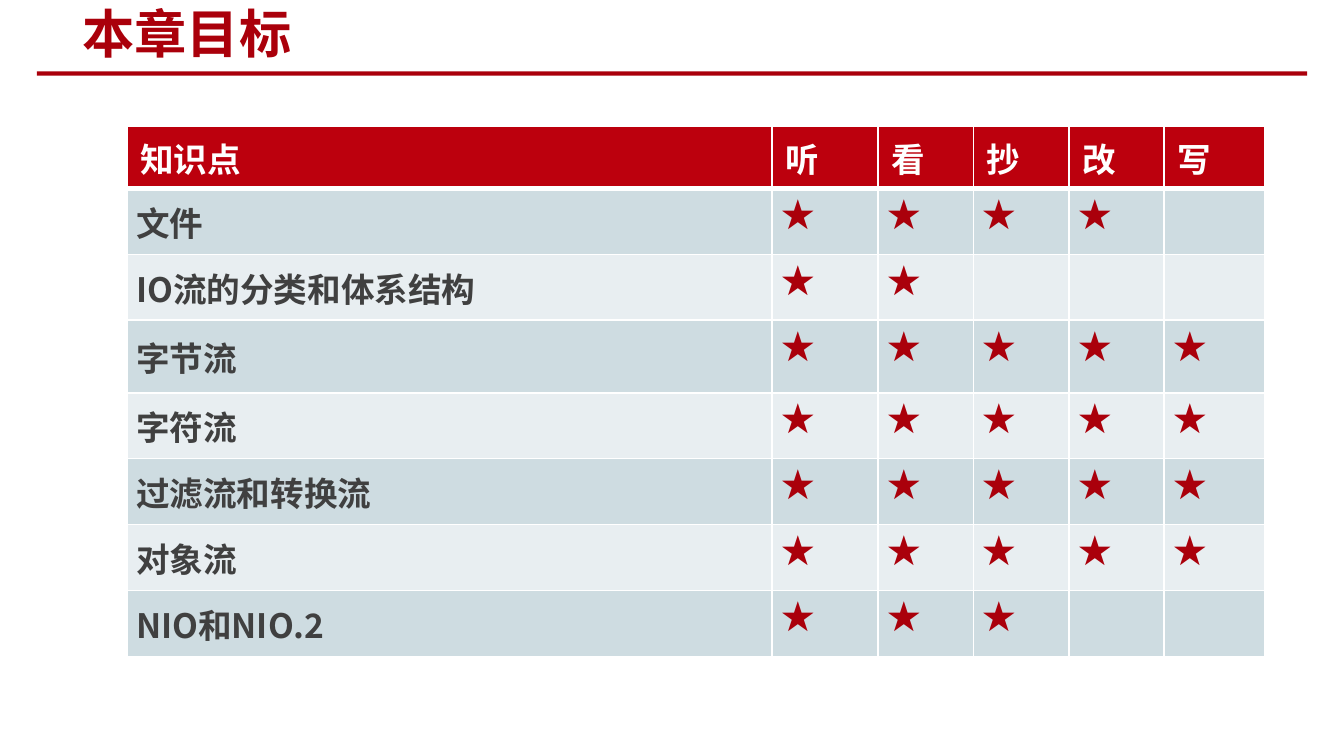
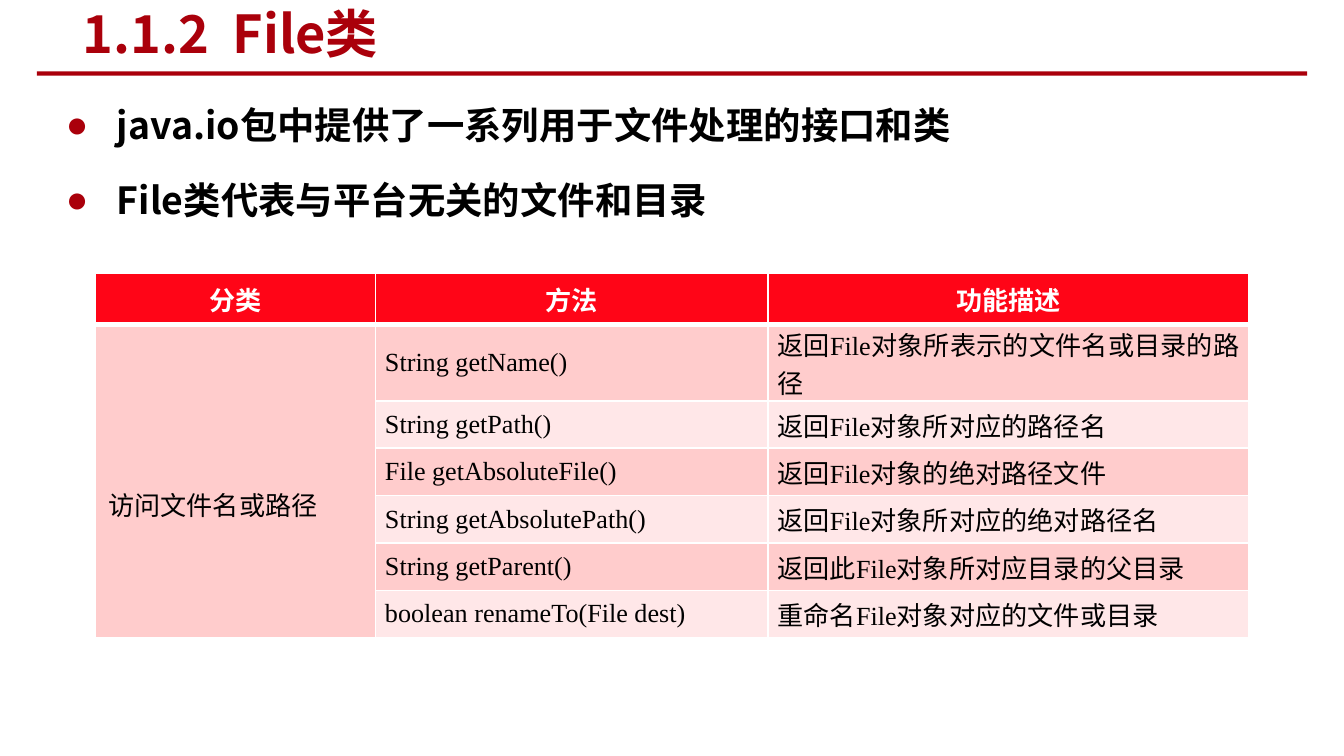
from lxml import etree
from pptx import Presentation
from pptx import util as u
from pptx.dml.color import RGBColor
from pptx.enum import shapes, text
from pptx.oxml.ns import qn

# Shared look, on a 16:9 slide
SLIDE_WIDTH = u.Inches(10)
SLIDE_HEIGHT = u.Emu(SLIDE_WIDTH * 9 // 16)
COLORS = {
    "brand": "AA000B", "white": "FFFFFF", "black": "000000", "gray": "404040",
    "goal_header": "BC000D", "goal_dark": "CEDCE1", "goal_light": "E8EEF1",
    "method_header": "FF0517", "method_dark": "FFCCCC", "method_light": "FFE7E8",
}
CJK_FONT = "Noto Sans CJK SC"
TITLE_ONLY, TITLE_AND_BODY = 5, 1
LEFT, CENTER, JUSTIFY = (text.PP_ALIGN.LEFT, text.PP_ALIGN.CENTER,
                         text.PP_ALIGN.JUSTIFY)
TOP, MIDDLE = text.MSO_ANCHOR.TOP, text.MSO_ANCHOR.MIDDLE
WIDE_INSETS, TIGHT_INSETS = (0.1, 0.05), (0.07, 0)

# Content
GOAL_HEADER = ["知识点", "听", "看", "抄", "改", "写"]
GOALS = [("文件", 4), ("IO流的分类和体系结构", 2), ("字节流", 5), ("字符流", 5),
         ("过滤流和转换流", 5), ("对象流", 5), ("NIO和NIO.2", 3)]
FILE_POINTS = ["java.io包中提供了一系列用于文件处理的接口和类",
               "File类代表与平台无关的文件和目录"]
METHOD_HEADER = ["分类", "方法", "功能描述"]
METHOD_CATEGORY = "访问文件名或路径"
METHODS = [
    ("String getName()", "返回File对象所表示的文件名或目录的路径"),
    ("String getPath()", "返回File对象所对应的路径名"),
    ("File getAbsoluteFile()", "返回File对象的绝对路径文件"),
    ("String getAbsolutePath()", "返回File对象所对应的绝对路径名"),
    ("String getParent()", "返回此File对象所对应目录的父目录"),
    ("boolean renameTo(File dest)", "重命名File对象对应的文件或目录"),
]


def color(name):
    return RGBColor.from_string(COLORS[name])


def across(percent):
    return u.Emu(round(SLIDE_WIDTH * percent / 100))


def down(percent):
    return u.Emu(round(SLIDE_HEIGHT * percent / 100))


def move(shape, left, top, width, height):
    shape.left, shape.top = across(left), down(top)
    shape.width, shape.height = across(width), down(height)


def add_run(paragraph, words, size, ink, font=CJK_FONT, bold=True):
    run = paragraph.add_run()
    run.text = words
    run.font.size, run.font.bold = u.Pt(size), bold
    run.font.color.rgb = color(ink)
    run.font.name = font
    east_asian = etree.SubElement(run.font._element, qn("a:ea"))
    east_asian.set("typeface", CJK_FONT)


# Title with the red rule below it
def add_titled_slide(presentation, layout, words, title_width):
    slide = presentation.slides.add_slide(presentation.slide_layouts[layout])
    rule = slide.shapes.add_shape(shapes.MSO_SHAPE.RECTANGLE, across(2.75),
                                  down(9.45), across(94.5), down(0.55))
    rule.shadow.inherit = False
    rule.fill.solid()
    rule.fill.fore_color.rgb = color("brand")
    rule.line.fill.background()

    title = slide.shapes.title
    move(title, 5.15, 0.36, title_width, 8)
    frame = title.text_frame
    frame.auto_size = text.MSO_AUTO_SIZE.NONE
    frame.vertical_anchor = MIDDLE
    frame.paragraphs[0].alignment = LEFT
    add_run(frame.paragraphs[0], words, 28, "brand")
    return slide


def add_bullet(paragraph, words):
    paragraph.line_spacing = 1.5
    paragraph.space_before = u.Pt(4)
    properties = paragraph._p.get_or_add_pPr()
    indent = u.Inches(0.38)
    properties.set("marL", str(indent))
    properties.set("indent", str(-indent))
    bullet_color = etree.SubElement(properties, qn("a:buClr"))
    etree.SubElement(bullet_color, qn("a:srgbClr")).set("val", COLORS["brand"])
    etree.SubElement(properties, qn("a:buChar")).set("char", "●")
    add_run(paragraph, words, 20, "black")


# Tables
def style_cell(cell, row, fill):
    """White borders, heavier between header and body, and a plain fill."""
    widths = {"lnL": 1, "lnR": 1, "lnT": 3 if row == 1 else 1,
              "lnB": 3 if row == 0 else 1}
    properties = cell._tc.get_or_add_tcPr()
    for side, width in widths.items():
        line = etree.SubElement(properties, qn(f"a:{side}"))
        line.set("w", str(u.Pt(width)))
        solid = etree.SubElement(line, qn("a:solidFill"))
        etree.SubElement(solid, qn("a:srgbClr")).set("val", COLORS["white"])
    cell.fill.solid()
    cell.fill.fore_color.rgb = color(fill)
    set_insets(cell, *TIGHT_INSETS)


def set_insets(cell, side, end):
    cell.margin_left = cell.margin_right = u.Inches(side)
    cell.margin_top = cell.margin_bottom = u.Inches(end)


def add_grid(slide, left, top, columns, rows, palette):
    frame = slide.shapes.add_table(len(rows), len(columns), across(left), down(top),
                                   across(sum(columns)), down(sum(rows)))
    table = frame.table
    for column, width in zip(table.columns, columns):
        column.width = across(width)
    for index, (row, height) in enumerate(zip(table.rows, rows)):
        row.height = down(height)
        shade = "header" if index == 0 else "dark" if index % 2 else "light"
        for cell in row.cells:
            style_cell(cell, index, f"{palette}_{shade}")
    return table


def write_cell(cell, words, size, ink, align=LEFT, anchor=MIDDLE, **font):
    cell.vertical_anchor = anchor
    paragraph = cell.text_frame.paragraphs[0]
    paragraph.alignment = align
    add_run(paragraph, words, size, ink, **font)


# Slides
def add_goals_slide(presentation):
    slide = add_titled_slide(presentation, TITLE_ONLY, "本章目标", 53)
    row = 8.72
    table = add_grid(slide, 9.43, 16.72, [48, 7.9, 7.1, 7.1, 7.1, 7.5],
                     [8, row, row, 9.6] + [row] * 4, "goal")
    for column, words in enumerate(GOAL_HEADER):
        cell = table.cell(0, column)
        set_insets(cell, *WIDE_INSETS)
        write_cell(cell, words, 18, "white", anchor=TOP)
    for index, (topic, stars) in enumerate(GOALS, start=1):
        write_cell(table.cell(index, 0), topic, 18, "gray")
        for column in range(1, stars + 1):
            write_cell(table.cell(index, column), "★", 18, "brand", anchor=TOP)


def add_file_slide(presentation):
    slide = add_titled_slide(presentation, TITLE_AND_BODY, "1.1.2  File类", 68.5)
    body = slide.placeholders[1]
    move(body, 3.9, 9.7, 89.1, 83.4)
    frame = body.text_frame
    frame.auto_size = text.MSO_AUTO_SIZE.NONE
    for index, words in enumerate(FILE_POINTS):
        paragraph = frame.add_paragraph() if index else frame.paragraphs[0]
        add_bullet(paragraph, words)

    table = add_grid(slide, 7.05, 36.15, [20.9, 29.2, 35.8],
                     [6.8, 9.97] + [6.27] * 5, "method")
    for column, words in enumerate(METHOD_HEADER):
        write_cell(table.cell(0, column), words, 14, "white", CENTER, font="Calibri")
    for index, entry in enumerate(METHODS, start=1):
        for column, words in enumerate(entry, start=1):
            write_cell(table.cell(index, column), words, 14, "black", JUSTIFY,
                       font="Times New Roman", bold=False)

    # One category spans all methods, set a little below the middle
    category = table.cell(1, 0)
    category.merge(table.cell(len(METHODS), 0))
    category.margin_left = u.Inches(0.1)
    category.margin_top = u.Inches(0.34)
    write_cell(category, METHOD_CATEGORY, 14, "black", font="Arial", bold=False)


def main():
    presentation = Presentation()
    presentation.slide_width, presentation.slide_height = SLIDE_WIDTH, SLIDE_HEIGHT
    add_goals_slide(presentation)
    add_file_slide(presentation)
    presentation.save("out.pptx")


if __name__ == "__main__":
    main()
